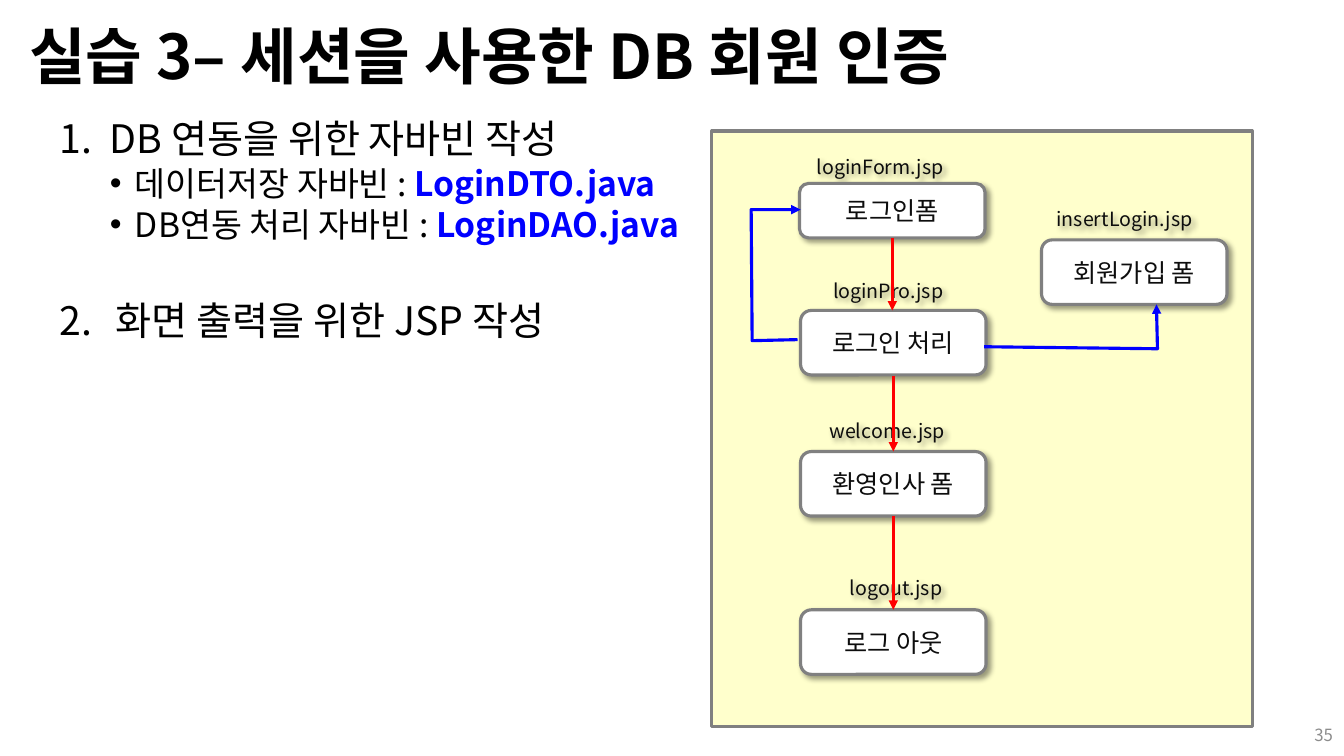
from dataclasses import dataclass
from lxml.etree import SubElement as Sub
from pptx import Presentation
from pptx.dml.color import RGBColor as RGB
from pptx.enum.shapes import MSO_CONNECTOR as Link, MSO_SHAPE as Shape
from pptx.enum.text import MSO_ANCHOR as Anchor, PP_ALIGN as Align
from pptx.oxml.ns import qn
from pptx.util import Pt

PX = 9144  # 100 px to the inch


@dataclass(frozen=True)
class Theme:
    font: str = "Noto Sans CJK KR"
    black: str = "000000"
    ink: str = "0D0D0D"
    white: str = "FFFFFF"
    cream: str = "FFFFCC"
    gray: str = "808080"
    pale: str = "8C8C8C"
    red: str = "FF0000"
    blue: str = "0000FF"
    title: int = 44
    head: int = 28
    item: int = 24
    box: int = 18
    label: int = 14
    page: int = 12
    line: float = 2.25


T = Theme()

# label area, file name, box area, box text
STEPS = [
    ((781, 138, 184, 54), "loginForm.jsp", (793, 182, 184, 54), "로그인폼"),
    ((789, 261, 184, 54), "loginPro.jsp", (794, 308, 184, 64), "로그인 처리"),
    ((788, 400, 184, 54), "welcome.jsp", (794, 448, 184, 64), "환영인사 폼"),
    ((982, 190, 267, 54), "insertLogin.jsp", (1033, 238, 184, 64), "회원가입 폼"),
    ((781, 556, 216, 54), "logout.jsp", (794, 605, 184, 64), "로그 아웃"),
]
DOWN = [(885, 236, 308), (886, 373, 448), (886, 512, 605)]
JOIN = [(976, 344), (1148, 346), (1147, 302)]
BACK = [(791, 337), (746, 338), (745, 208), (794, 208)]

# text, blue part, bullet, indent, space before
NOTES = [
    ("DB 연동을 위한 자바빈 작성", "", 1, 50, 0),
    ("데이터저장 자바빈 : ", "LoginDTO.java", 0, 25, 5),
    ("DB연동 처리 자바빈 : ", "LoginDAO.java", 0, 25, 5),
    ("화면 출력을 위한 JSP 작성", "", 2, 56, 42),
]


def emu(*px):
    return [round(v * PX) for v in px]


def style(para, size, color, bold=False):
    font = para.font
    font.size, font.bold, font.name = Pt(size), bold, T.font
    font.color.rgb = RGB.from_string(color)
    Sub(para._p.pPr.find(qn("a:defRPr")), qn("a:ea"), typeface=T.font)


def stroke(line, color):
    line.color.rgb = RGB.from_string(color)
    line.width = Pt(T.line)


def tip(item):
    """Put an arrowhead at the end of a line."""
    Sub(item.line._get_or_add_ln(), qn("a:tailEnd"), type="triangle")


def shade(shape):
    """Give a shape a soft shadow to the lower right."""
    shape.shadow.inherit = False
    fx = shape._element.spPr.find(qn("a:effectLst"))
    cast = Sub(fx, qn("a:outerShdw"), blurRad=str(Pt(4)), dist=str(Pt(3)),
               dir="2700000", algn="tl", rotWithShape="0")
    tone = Sub(cast, qn("a:srgbClr"), val=T.black)
    Sub(tone, qn("a:alpha"), val="40000")


def frame(slide, area, anchor):
    text = slide.shapes.add_textbox(*emu(*area)).text_frame
    text.word_wrap, text.vertical_anchor = True, anchor
    return text


def line_box(slide, area, text, size, color, bold=False, align=Align.LEFT):
    """Add a text box with a single line."""
    para = frame(slide, area, Anchor.MIDDLE).paragraphs[0]
    para.text, para.alignment, para.line_spacing = text, align, 0.9
    style(para, size, color, bold)


def bullet(para, num, indent):
    props = para._p.get_or_add_pPr()
    left = indent if num else 50 + indent
    props.set("marL", str(left * PX))
    props.set("indent", str(-indent * PX))
    if num:
        Sub(props, qn("a:buFont"), typeface="+mj-lt")
        Sub(props, qn("a:buAutoNum"), type="arabicPeriod", startAt=str(num))
    else:
        Sub(props, qn("a:buFont"), typeface="Arial")
        Sub(props, qn("a:buChar"), char="•")


def notes(slide):
    body = frame(slide, (49, 116, 1251, 614), Anchor.TOP)
    for i, (text, name, num, indent, gap) in enumerate(NOTES):
        para = body.add_paragraph() if i else body.paragraphs[0]
        para.line_spacing = 0.85
        if gap:
            para.space_before = Pt(gap)
        bullet(para, num, indent)
        style(para, T.head if num else T.item, T.black)
        para.add_run().text = text
        if name:
            run = para.add_run()
            run.text, run.font.bold = name, True
            run.font.color.rgb = RGB.from_string(T.blue)


def panel(slide, area):
    shape = slide.shapes.add_shape(Shape.RECTANGLE, *emu(*area))
    shape.shadow.inherit = False
    shape.fill.solid()
    shape.fill.fore_color.rgb = RGB.from_string(T.cream)
    stroke(shape.line, T.gray)


def node(slide, area, text, size, solid):
    shape = slide.shapes.add_shape(Shape.ROUNDED_RECTANGLE, *emu(*area))
    shade(shape)
    if solid:
        shape.fill.solid()
        shape.fill.fore_color.rgb = RGB.from_string(T.white)
        stroke(shape.line, T.gray)
    else:
        shape.fill.background()
        shape.line.fill.background()
    shape.text_frame.vertical_anchor = Anchor.MIDDLE
    para = shape.text_frame.paragraphs[0]
    para.text, para.alignment = text, Align.CENTER
    style(para, size, T.ink)


def arrow(slide, x, top, end):
    link = slide.shapes.add_connector(Link.STRAIGHT, *emu(x, top, x, end))
    Sub(link._element.spPr, qn("a:effectLst"))
    stroke(link.line, T.red)
    tip(link)


def route(slide, points):
    """Draw a bent blue arrow through the points."""
    start, *rest = points
    build = slide.shapes.build_freeform(*start, scale=PX)
    build.add_line_segments(rest, close=False)
    shape = build.convert_to_shape()
    shape.shadow.inherit = False
    shape.fill.background()
    stroke(shape.line, T.blue)
    tip(shape)


def main():
    deck = Presentation()
    deck.slide_width, deck.slide_height = emu(1333, 750)
    slide = deck.slides.add_slide(deck.slide_layouts[6])
    line_box(slide, (19, 19, 1293, 81), "실습 3– 세션을 사용한 DB 회원 인증",
             T.title, T.black, bold=True)
    notes(slide)
    line_box(slide, (1282, 710, 50, 40), "35", T.page, T.pale,
             align=Align.RIGHT)
    panel(slide, (706, 130, 536, 591))
    for spot, name, area, text in STEPS:
        node(slide, spot, name, T.label, solid=False)
        node(slide, area, text, T.box, solid=True)
    for x, top, end in DOWN:
        arrow(slide, x, top, end)
    for points in (JOIN, BACK):
        route(slide, points)
    deck.save("out.pptx")


if __name__ == "__main__":
    main()
